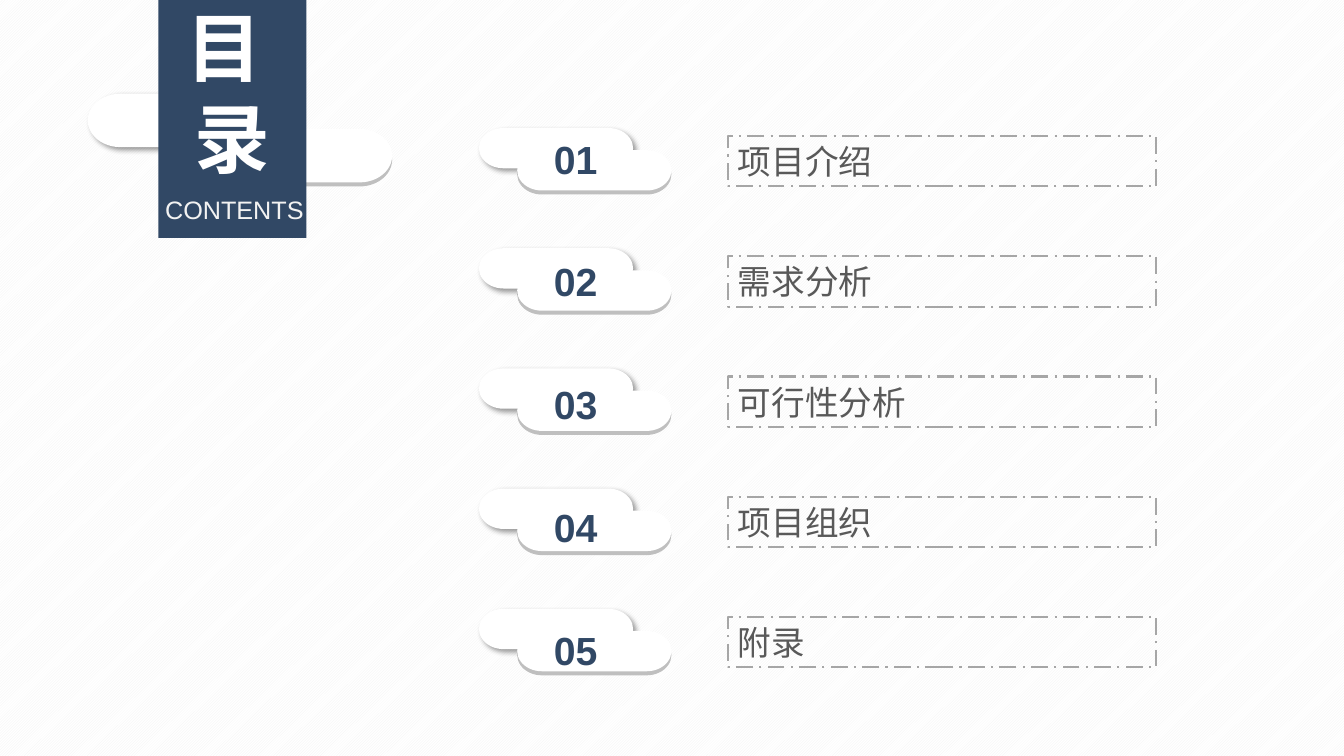
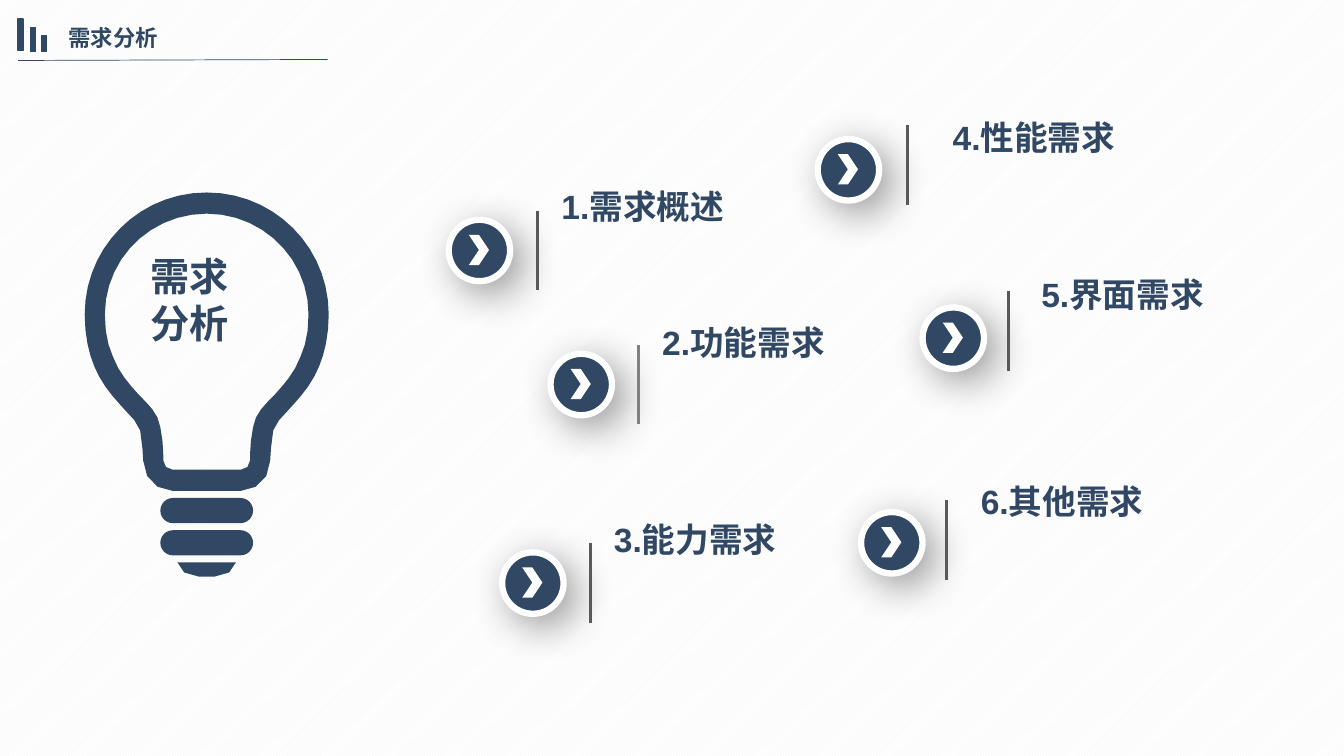
"""Build a contents slide and a requirements analysis slide."""
from dataclasses import dataclass
from math import dist

from lxml import etree
from pptx import Presentation
from pptx.dml.color import RGBColor
from pptx.enum.dml import MSO_LINE, MSO_PATTERN
from pptx.enum.shapes import MSO_CONNECTOR, MSO_SHAPE
from pptx.enum.text import MSO_ANCHOR, MSO_AUTO_SIZE, PP_ALIGN
from pptx.oxml.ns import qn
from pptx.util import Inches, Pt

RECT, PILL = MSO_SHAPE.RECTANGLE, MSO_SHAPE.FLOWCHART_TERMINATOR
OVAL, CHEVRON, ROUNDED = MSO_SHAPE.OVAL, MSO_SHAPE.CHEVRON, MSO_SHAPE.ROUNDED_RECTANGLE
LEFT, CENTER, JUSTIFY = PP_ALIGN.LEFT, PP_ALIGN.CENTER, PP_ALIGN.JUSTIFY
TOP, MIDDLE = MSO_ANCHOR.TOP, MSO_ANCHOR.MIDDLE
LIGHT_STRIPES = MSO_PATTERN.LIGHT_UPWARD_DIAGONAL
DARK_STRIPES = MSO_PATTERN.DARK_UPWARD_DIAGONAL
GROW = MSO_AUTO_SIZE.SHAPE_TO_FIT_TEXT
STRAIGHT, DASH_DOT = MSO_CONNECTOR.STRAIGHT, MSO_LINE.LONG_DASH_DOT


@dataclass(frozen=True)
class Theme:
    navy: RGBColor = RGBColor(0x31, 0x48, 0x65)
    white: RGBColor = RGBColor(0xFF, 0xFF, 0xFF)
    pale: RGBColor = RGBColor(0xF2, 0xF2, 0xF2)
    silver: RGBColor = RGBColor(0xBF, 0xBF, 0xBF)
    border: RGBColor = RGBColor(0xA6, 0xA6, 0xA6)
    grey: RGBColor = RGBColor(0x80, 0x80, 0x80)
    dark: RGBColor = RGBColor(0x59, 0x59, 0x59)
    font: str = "Arial"
    cover: int = 54
    number: int = 28
    item: int = 24
    caption: int = 18
    header: int = 16


T = Theme()


def add_box(s, kind, box, fill=None, line=None, width=1, shadow=None):
    sp = s.shapes.add_shape(kind, *map(Inches, box))
    sp.shadow.inherit = False
    if fill is None:
        sp.fill.background()
    else:
        sp.fill.solid()
        sp.fill.fore_color.rgb = fill
    if line is None:
        sp.line.fill.background()
    else:
        sp.line.color.rgb = line
        sp.line.width = Pt(width)
    if shadow:
        blur, offset = shadow
        effects = sp.element.spPr.find(qn("a:effectLst"))
        outer = etree.SubElement(effects, qn("a:outerShdw"), blurRad=str(Pt(blur)),
                                 dist=str(Pt(offset)), dir="2700000", algn="tl", rotWithShape="0")
        color = etree.SubElement(outer, qn("a:srgbClr"), val="000000")
        etree.SubElement(color, qn("a:alpha"), val="40000")
    return sp


def write(sp, lines, size, color, bold=False, align=LEFT, anchor=TOP, inset=None):
    tf = sp.text_frame
    tf.word_wrap = True
    tf.auto_size = GROW
    tf.vertical_anchor = anchor
    if inset is not None:
        tf.margin_left = tf.margin_right = tf.margin_top = tf.margin_bottom = Inches(inset)
    for i, line in enumerate(lines):
        p = tf.add_paragraph() if i else tf.paragraphs[0]
        p.alignment = align
        r = p.add_run()
        r.text = line
        r.font.name = T.font
        r.font.size = Pt(size)
        r.font.bold = bold
        r.font.color.rgb = color


prs = Presentation()
prs.slide_width, prs.slide_height = Inches(13.33), Inches(7.5)
slides = []
for stripes, box in [(LIGHT_STRIPES, (1.57, 0, 1.47, 1.82)), (DARK_STRIPES, (0.58, 0.19, 2.66, 0.37))]:
    s = prs.slides.add_slide(prs.slide_layouts[5])
    fill = s.background.fill
    fill.patterned()
    fill.pattern = stripes
    fill.fore_color.rgb, fill.back_color.rgb = T.pale, T.white
    title = s.shapes.title
    title.left, title.top, title.width, title.height = map(Inches, box)
    slides.append(s)
contents, analysis = slides

s = contents
STEP, NUMBER_STEP = (6.12 - 1.35) / 4, (6.16 - 1.29) / 4
clouds = [(0.87, 0.93, 2.01, 0.53, 1.01, 0.35)]
clouds += [(4.75, 1.27 + i * STEP, 1.53, 0.4, 0.38, 0.22) for i in range(5)]
for x, y, w, h, dx, dy in clouds:
    add_box(s, PILL, (x + dx, y + dy + 0.04, w, h), T.silver)
    add_box(s, PILL, (x, y, w, h), T.white, shadow=(4, 3))
    add_box(s, PILL, (x + dx, y + dy, w, h), T.white)

add_box(s, RECT, (1.57, 0, 1.47, 2.36), T.navy)
title = s.shapes.title
title.element.getparent().append(title.element)
write(title, ["目 ", "录"], T.cover, T.white, True, CENTER, MIDDLE, 0)
tb = s.shapes.add_textbox(Inches(1.59), Inches(1.93), Inches(1.47), Inches(0.3))
write(tb, ["CONTENTS"], T.caption, T.pale, False, CENTER, MIDDLE, 0)

for i, chapter in enumerate(["项目介绍", "需求分析", "可行性分析", "项目组织", "附录"]):
    frame = add_box(s, RECT, (7.22, 1.35 + i * STEP, 4.25, 0.5), line=T.border, width=1.5)
    frame.line.dash_style = DASH_DOT
    write(frame, [chapter], T.item, T.dark, align=JUSTIFY)
    tb = s.shapes.add_textbox(Inches(5.33), Inches(1.29 + i * NUMBER_STEP), Inches(0.76), Inches(0.57))
    write(tb, [f"{i + 1:02}"], T.number, T.navy, True, CENTER)

s = analysis
write(s.shapes.title, ["需求分析"], T.header, T.navy, True, JUSTIFY)
for x, y, h in [(0.18, 0.19, 0.31), (0.3, 0.28, 0.23), (0.41, 0.35, 0.16)]:
    add_box(s, RECT, (x, y, 0.05, h), T.navy, T.navy)

AXIS, STEPS_PER_INCH = 2.05, 8
glass_outer = [(0, 1.91), (0.67, 1.91), (1.21, 2.45), (1.21, 3.12),
               (1.21, 3.38), (1.15, 3.58), (1.07, 3.73),
               (0.99, 3.88), (0.88, 3.99), (0.8, 4.08),
               (0.75, 4.13), (0.68, 4.2), (0.66, 4.27),
               (0.64, 4.39), (0.63, 4.53), (0.63, 4.57),
               (0.63, 4.74), (0.5, 4.87), (0.34, 4.87)]
glass_inner = [(0, 2.12), (0.56, 2.12), (1.01, 2.57), (1.01, 3.12),
               (1.01, 3.3), (0.98, 3.43), (0.93, 3.54),
               (0.87, 3.7), (0.77, 3.81), (0.68, 3.91),
               (0.63, 3.96), (0.58, 4.01), (0.54, 4.06),
               (0.5, 4.11), (0.47, 4.17), (0.46, 4.24),
               (0.43, 4.37), (0.43, 4.52), (0.43, 4.57),
               (0.43, 4.62), (0.39, 4.66), (0.34, 4.66)]
bulb_foot = [(0.29, 5.58), (0.29, 5.66), (0.18, 5.72), (0.08, 5.72)]
for outlines in [(glass_outer, glass_inner), (bulb_foot,)]:
    builder = None
    for half in outlines:
        curve = [half[0]]
        for i in range(0, len(half) - 1, 3):
            steps = max(2, round(STEPS_PER_INCH * dist(half[i], half[i + 3])))
            for k in range(1, steps + 1):
                t = k / steps
                weights = ((1 - t) ** 3, 3 * t * (1 - t) ** 2, 3 * t * t * (1 - t), t ** 3)
                curve.append(tuple(sum(w * pt[n] for w, pt in zip(weights, half[i:i + 4])) for n in (0, 1)))
        mirrored = [(-x, y) for x, y in reversed(curve)]
        points = [(Inches(AXIS + x), Inches(y)) for x, y in curve + mirrored]
        if builder is None:
            builder = s.shapes.build_freeform(*points[0])
        else:
            builder.move_to(*points[0])
        builder.add_line_segments(points[1:], close=True)
    sp = builder.convert_to_shape()
    sp.shadow.inherit = False
    sp.fill.solid()
    sp.fill.fore_color.rgb = T.navy
    sp.line.fill.background()
for y in (4.94, 5.26):
    ring = add_box(s, ROUNDED, (1.59, y, 0.92, 0.25), T.navy)
    ring.adjustments[0] = 0.5
tb = s.shapes.add_textbox(Inches(1.39), Inches(2.45), Inches(1.27), Inches(1.04))
write(tb, ["需求分析"], T.number, T.navy, True)

needs = [("1.需求概述", (4.45, 2.18), (5.33, 2.09), (5.47, 1.8), T.dark),
         ("2.功能需求", (5.46, 3.51), (6.33, 3.42), (6.47, 3.14), T.grey),
         ("3.能力需求", (4.98, 5.48), (5.86, 5.39), (5.99, 5.1), T.dark),
         ("4.性能需求", (8.11, 1.38), (9, 1.24), (9.35, 1.11), T.dark),
         ("5.界面需求", (9.15, 3.05), (10, 2.89), (10.23, 2.67), T.dark),
         ("6.其他需求", (8.54, 5.08), (9.39, 4.96), (9.63, 4.72), T.dark)]
rules = [(0.18, 0.6, 3.25, 0.59, T.navy, 0.5)]
for label, (x, y), (rule_x, rule_y), (text_x, text_y), color in needs:
    rules.append((rule_x, rule_y, rule_x, rule_y + 0.79, color, 2.25))
    add_box(s, OVAL, (x, y, 0.61, 0.61), T.navy, T.white, 4.5, shadow=(30, 10))
    add_box(s, CHEVRON, (x + 0.2, y + 0.15, 0.2, 0.3), T.white)
    tb = s.shapes.add_textbox(Inches(text_x), Inches(text_y), Inches(3.1), Inches(0.5))
    write(tb, [label], T.item, T.navy, True)
for x1, y1, x2, y2, color, width in rules:
    rule = s.shapes.add_connector(STRAIGHT, *map(Inches, (x1, y1, x2, y2)))
    rule.line.color.rgb = color
    rule.line.width = Pt(width)
    etree.SubElement(rule.element.spPr, qn("a:effectLst"))

prs.save("out.pptx")
